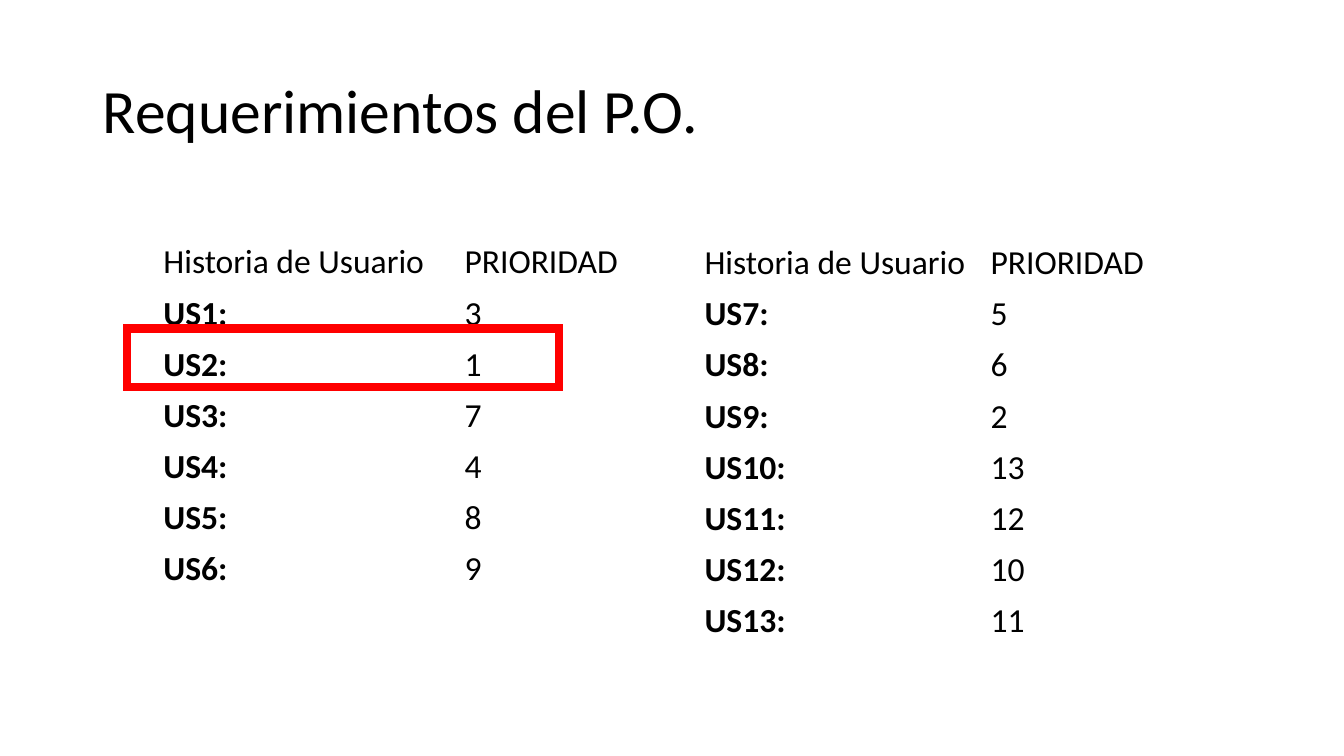
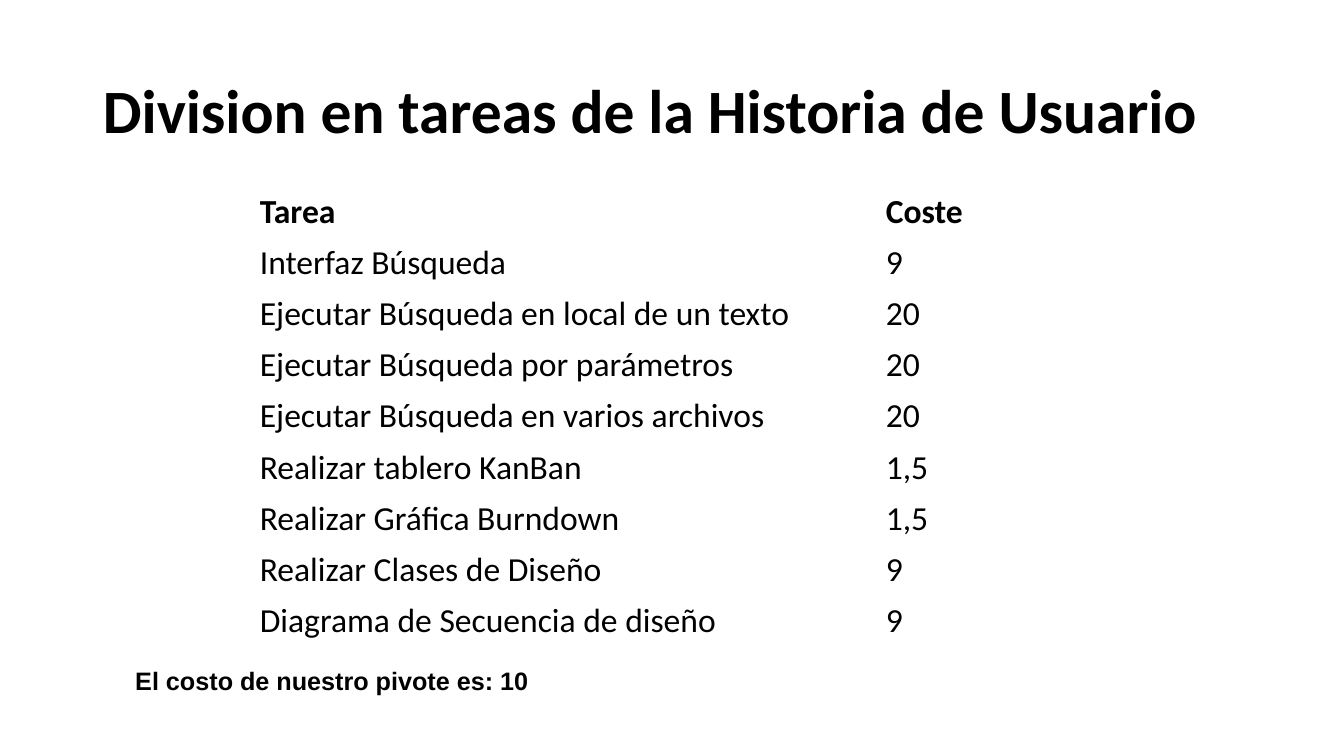
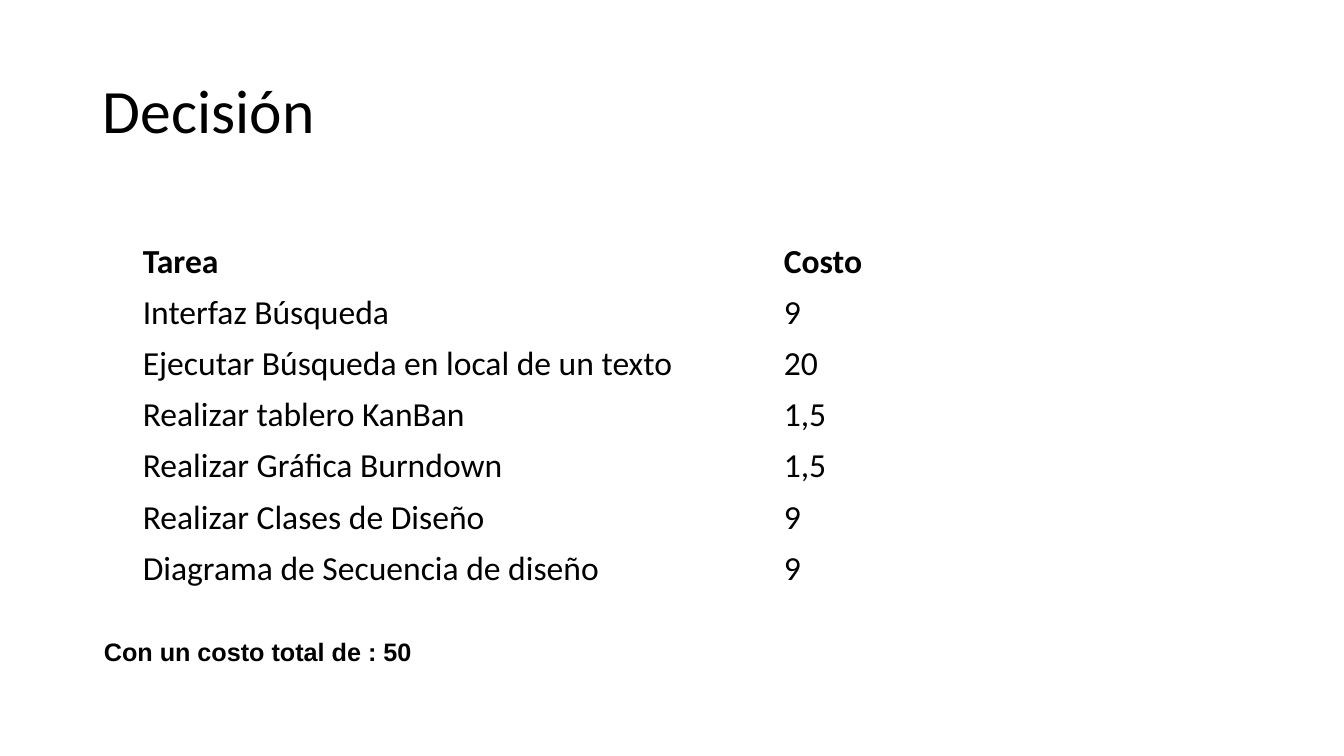
"""Build three slides on prioritising user stories and costing their tasks."""
from lxml.etree import SubElement
from pptx import Presentation
from pptx.dml.color import RGBColor as RGB
from pptx.enum.shapes import MSO_SHAPE as SHAPE
from pptx.enum.text import MSO_ANCHOR as ANCHOR, MSO_AUTO_SIZE as AUTO, PP_ALIGN as ALIGN
from pptx.oxml.ns import qn
from pptx.util import Cm, Pt

BLACK, RED = "000000", "FF0000"
TITLE = {"name": "Calibri", "size": Pt(44), "bold": False}
CELL = {"name": "Calibri", "size": Pt(24), "bold": False}
NOTE = {"name": "Arial", "size": Pt(18), "bold": True}
BOLD = {"bold": True}
STORY_STYLE = {"row": 1.24, "margin": 0.23, "bold": "column"}
TASK_STYLE = {"row": 1.27, "margin": 0.25, "bold": "header"}

STORY_HEAD = ("Historia de Usuario", "PRIORIDAD")
PRIORITIES = [3, 1, 7, 4, 8, 9, 5, 6, 2, 13, 12, 10, 11]
STORIES = [(f"US{i}:", str(n)) for i, n in enumerate(PRIORITIES, 1)]
TASKS = [
    ("Interfaz Búsqueda", "9"),
    ("Ejecutar Búsqueda en local de un texto", "20"),
    ("Ejecutar Búsqueda por parámetros", "20"),
    ("Ejecutar Búsqueda en varios archivos", "20"),
    ("Realizar tablero KanBan", "1,5"),
    ("Realizar Gráfica Burndown", "1,5"),
    ("Realizar Clases de Diseño", "9"),
    ("Diagrama de Secuencia de diseño", "9"),
]
CHOSEN = TASKS[:2] + TASKS[4:]

SLIDES = [
    {"title": "Requerimientos del P.O.",
     "tables": [
         {"at": (3.89, 5.97), "cols": (7.59, 5.84), **STORY_STYLE,
          "rows": [STORY_HEAD] + STORIES[:6]},
         {"at": (17.53, 5.99), "cols": (7.21, 4.36), **STORY_STYLE,
          "rows": [STORY_HEAD] + STORIES[6:]}],
     "frame": (3.2, 8.28, 10.9, 1.47)},
    {"title": "Division en tareas de la Historia de Usuario", "title_format": BOLD,
     "tables": [
         {"at": (6.3, 4.7), "cols": (15.78, 2.79), **TASK_STYLE,
          "rows": [("Tarea", "Coste")] + TASKS}],
     "note": ("El costo de nuestro pivote es: 10", (3.16, 16.64, 10.6, 1.02))},
    {"title": "Decisión",
     "tables": [
         {"at": (3.35, 5.96), "cols": (16.16, 2.79), **TASK_STYLE,
          "rows": [("Tarea", "Costo")] + CHOSEN}],
     "note": ("Con un costo total de : 50", (2.37, 15.9, 8.5, 1.02))},
]


def color(hex_text):
    return RGB.from_string(hex_text)


def cms(values):
    return [Cm(v) for v in values]


def write(tf, text, fmt):
    p = tf.paragraphs[0]
    p.alignment = ALIGN.LEFT
    r = p.add_run()
    r.text = text
    for key, value in fmt.items():
        setattr(r.font, key, value)
    r.font.color.rgb = color(BLACK)
    return p


def add_title(s, text, fmt):
    sp = s.shapes.title
    sp.left, sp.top, sp.width, sp.height = cms((2.34, 1.02, 29.21, 3.68))
    tf = sp.text_frame
    tf.auto_size, tf.vertical_anchor = AUTO.NONE, ANCHOR.MIDDLE
    write(tf, text, TITLE | fmt).line_spacing = 0.9


def add_table(s, at, cols, row, margin, bold, rows):
    size = (sum(cols), row * len(rows))
    table = s.shapes.add_table(len(rows), len(cols), *cms(at + size)).table
    table.first_row = table.horz_banding = False
    for column, width in zip(table.columns, cols):
        column.width = Cm(width)
    for i, values in enumerate(rows):
        table.rows[i].height = Cm(row)
        for j, text in enumerate(values):
            cell = table.cell(i, j)
            cell.fill.background()
            cell.vertical_anchor = ANCHOR.MIDDLE
            cell.margin_left = cell.margin_right = Cm(margin)
            strong = i == 0 if bold == "header" else i > 0 and j == 0
            write(cell.text_frame, text, CELL | {"bold": strong})


def add_frame(s, box):
    sp = s.shapes.add_shape(SHAPE.RECTANGLE, *cms(box))
    sp.shadow.inherit = False
    sp.fill.background()
    sp.line.color.rgb = color(RED)
    sp.line.width = Pt(6)
    SubElement(sp.line._get_or_add_ln(), qn("a:miter"), lim="800000")


def add_note(s, text, box):
    tf = s.shapes.add_textbox(*cms(box)).text_frame
    tf.word_wrap, tf.vertical_anchor = False, ANCHOR.MIDDLE
    tf.auto_size = AUTO.SHAPE_TO_FIT_TEXT
    write(tf, text, NOTE)


def main():
    prs = Presentation()
    prs.slide_width, prs.slide_height = cms((33.88, 19.05))
    for item in SLIDES:
        s = prs.slides.add_slide(prs.slide_layouts[5])
        add_title(s, item["title"], item.get("title_format", {}))
        for table in item["tables"]:
            add_table(s, **table)
        if "frame" in item:
            add_frame(s, item["frame"])
        if "note" in item:
            add_note(s, *item["note"])
    prs.save("out.pptx")


if __name__ == "__main__":
    main()
